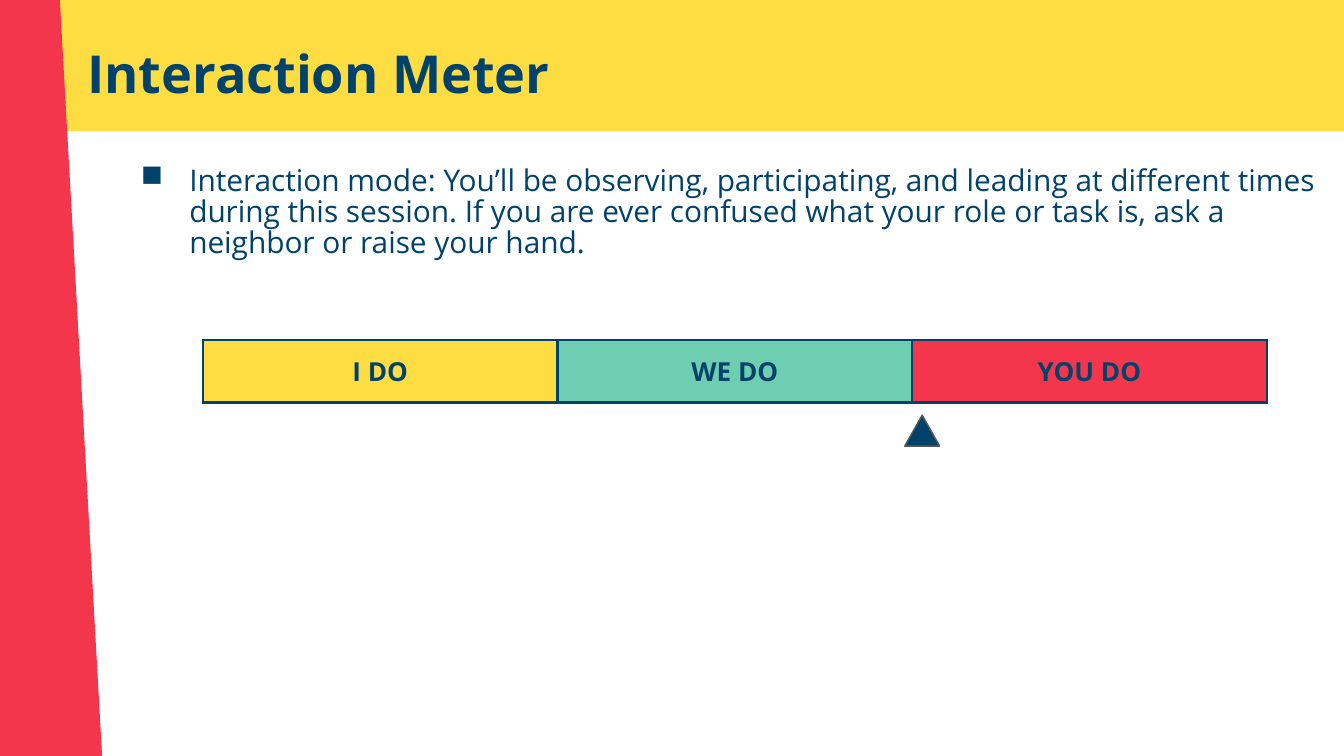
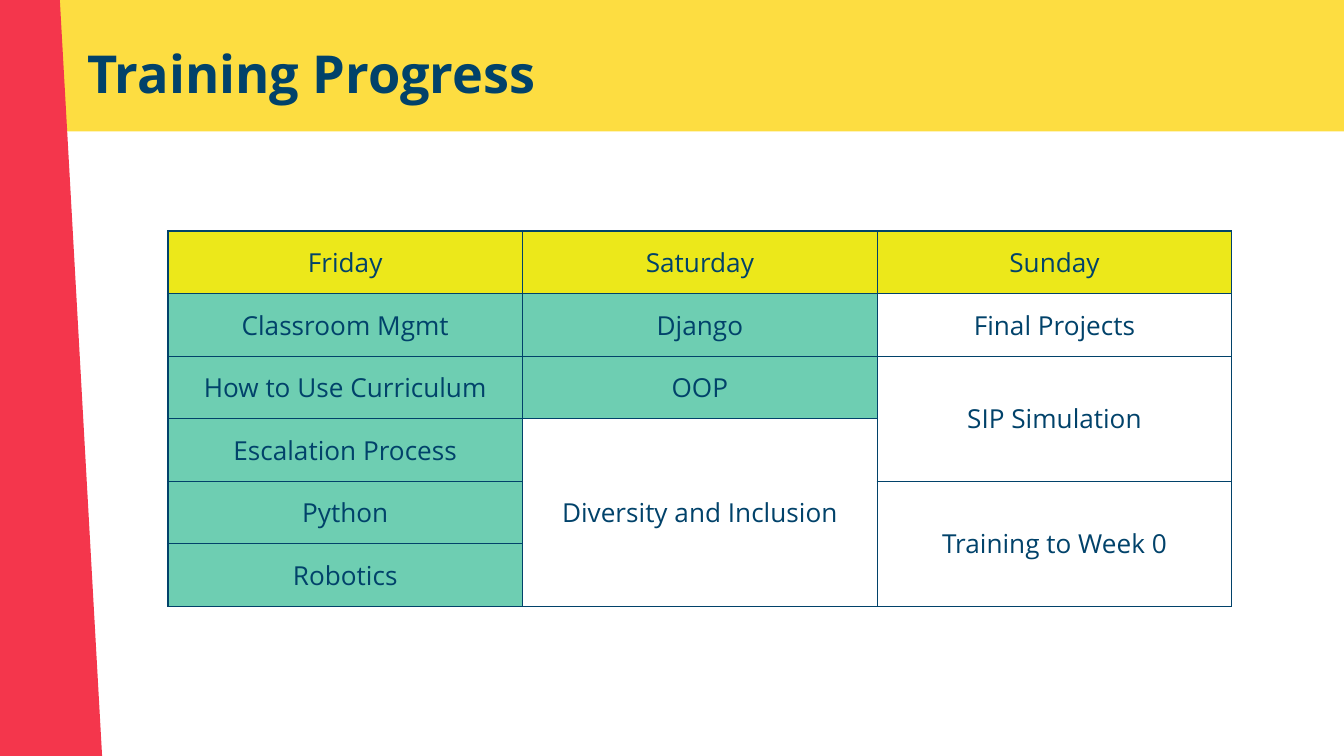
from lxml.etree import SubElement
from pptx import Presentation
from pptx.dml.color import RGBColor
from pptx.enum.shapes import MSO_SHAPE
from pptx.enum.text import MSO_ANCHOR, PP_ALIGN
from pptx.oxml.ns import qn
from pptx.util import Pt

COLORS = {"yellow": "FDDD41", "red": "F4364C", "navy": "01426A",
          "mint": "6ECEB2", "lime": "ECE81A", "gray": "595959"}
FONT = "Open Sans"
INSET = 7.2
ROW_HEIGHT = 33.5
COLUMN_WIDTH = 190
SCHEDULE = [
    ["Friday", "Saturday", "Sunday"],
    ["Classroom Mgmt", "Django", "Final Projects"],
    ["How to Use Curriculum", "OOP", "SIP Simulation"],
    ["Escalation Process", "Diversity and Inclusion", None],
    ["Python", None, "Training to Week 0"],
    ["Robotics", None, None],
]
DONE_ROWS = [5, 2, 0]


def rgb(name):
    """Return the named colour."""
    return RGBColor.from_string(COLORS[name])


def set_attrs(target, values):
    """Set each attribute in a dict of format values."""
    for name, value in values.items():
        setattr(target, name, value)


def write(p, text, size, bold=False):
    """Put one styled run in a paragraph."""
    r = p.add_run()
    r.text = text
    set_attrs(r.font, {"name": FONT, "size": Pt(size), "bold": bold})
    r.font.color.rgb = rgb("navy")


def setup_frame(tf):
    """Give a text frame the shared wrap, anchor and insets."""
    set_attrs(tf, {"word_wrap": True, "vertical_anchor": MSO_ANCHOR.TOP})
    for side in ("left", "top", "right", "bottom"):
        setattr(tf, f"margin_{side}", Pt(INSET))


def add_plain_shape(s, kind, box, fill, line=None):
    """Add a flat preset shape."""
    sp = s.shapes.add_shape(kind, *map(Pt, box))
    sp.shadow.inherit = False
    sp.fill.solid()
    sp.fill.fore_color.rgb = rgb(fill)
    if line:
        sp.line.color.rgb = rgb(line)
        sp.line.width = Pt(0.75)
    else:
        sp.line.fill.background()
    return sp


def add_titled_slide(prs, title):
    """Start a slide with its two bands and title."""
    s = prs.slides.add_slide(prs.slide_layouts[5])
    add_plain_shape(s, MSO_SHAPE.RECTANGLE, (-60.5, -1.5, 792, 72), "yellow")
    band = add_plain_shape(s, MSO_SHAPE.RECTANGLE, (-369.4, 50.4, 735, 77.8), "red")
    band.rotation = 86.8
    sp = s.shapes.title
    s.shapes._spTree.append(sp._element)
    set_attrs(sp, dict(zip(("left", "top", "width", "height"), map(Pt, (39.6, 18.7, 671, 45.4)))))
    setup_frame(sp.text_frame)
    p = sp.text_frame.paragraphs[0]
    set_attrs(p, {"alignment": PP_ALIGN.LEFT, "line_spacing": 0.9})
    write(p, title, 28, True)
    return s


def add_bullet_text(s, box, text):
    """Add a text box with one square-bulleted paragraph."""
    tf = s.shapes.add_textbox(*map(Pt, box)).text_frame
    setup_frame(tf)
    p = tf.paragraphs[0]
    p.line_spacing = 0.87
    pPr = p._p.get_or_add_pPr()
    set_attrs_xml = {"marL": Pt(36), "indent": Pt(-26)}
    for name, value in set_attrs_xml.items():
        pPr.set(name, str(value))
    color = SubElement(pPr, qn("a:buClr"))
    SubElement(color, qn("a:srgbClr"), val=COLORS["navy"])
    SubElement(pPr, qn("a:buChar"), char="■")
    write(p, text, 16)


def style_cell(cell, fill, border):
    """Set a cell's borders, insets and fill."""
    tcPr = cell._tc.get_or_add_tcPr()
    for side in "LRTB":
        ln = SubElement(tcPr, qn(f"a:ln{side}"), w=str(Pt(border)))
        solid = SubElement(ln, qn("a:solidFill"))
        SubElement(solid, qn("a:srgbClr"), val=COLORS["navy"])
    for side in ("left", "top", "right", "bottom"):
        setattr(cell, f"margin_{side}", Pt(INSET))
    cell.vertical_anchor = MSO_ANCHOR.MIDDLE
    if fill:
        cell.fill.solid()
        cell.fill.fore_color.rgb = rgb(fill)
    else:
        cell.fill.background()


def add_grid(s, left, top, rows, fill_at, border, bold=False):
    """Add a table whose None cells join the cell above."""
    n_rows, n_cols = len(rows), len(rows[0])
    size = (n_cols * COLUMN_WIDTH, n_rows * ROW_HEIGHT)
    table = s.shapes.add_table(n_rows, n_cols, *map(Pt, (left, top, *size))).table
    set_attrs(table, {"first_row": False, "horz_banding": False})
    for c in range(n_cols):
        start = 0
        for r in range(n_rows):
            cell = table.cell(r, c)
            style_cell(cell, fill_at(r, c), border)
            if rows[r][c] is not None:
                start = r
                p = cell.text_frame.paragraphs[0]
                p.alignment = PP_ALIGN.CENTER
                write(p, rows[r][c], 14, bold)
            elif r + 1 == n_rows or rows[r + 1][c] is not None:
                table.cell(start, c).merge(cell)


def add_meter(s, left, top):
    """Add the three-part meter and its pointer."""
    fills = ["yellow", "mint", "red"]
    add_grid(s, left, top, [["I DO", "WE DO", "YOU DO"]], lambda r, c: fills[c], 1.5, True)
    pointer = (left + 2 * COLUMN_WIDTH - 4, top + 40.2, 18.7, 16.6)
    add_plain_shape(s, MSO_SHAPE.ISOSCELES_TRIANGLE, pointer, "navy", "gray")


def schedule_fill(r, c):
    """Colour the header and the finished sessions."""
    if r == 0:
        return "lime"
    return "mint" if r <= DONE_ROWS[c] else None


def main():
    """Build both slides."""
    prs = Presentation()
    set_attrs(prs, {"slide_width": Pt(720), "slide_height": Pt(405)})
    s = add_titled_slide(prs, "Interaction Meter")
    add_bullet_text(s, (58.3, 82, 671, 269.3),
                    "Interaction mode: You’ll be observing, participating, and leading at "
                    "different times during this session. If you are ever confused what your "
                    "role or task is, ask a neighbor or raise your hand.")
    add_meter(s, 108.7, 182.2)
    s = add_titled_slide(prs, "Training Progress")
    add_grid(s, 90, 123.8, SCHEDULE, schedule_fill, 0.75)
    prs.save("out.pptx")


if __name__ == "__main__":
    main()
